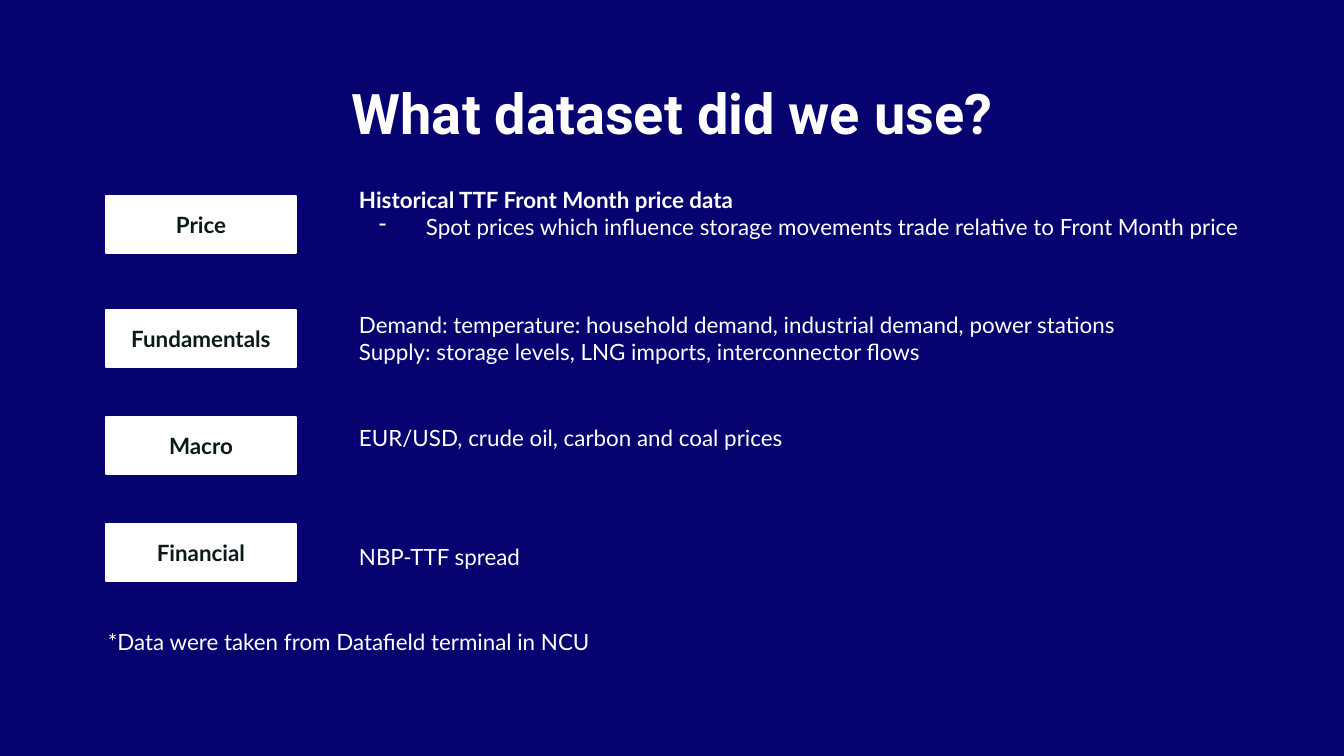
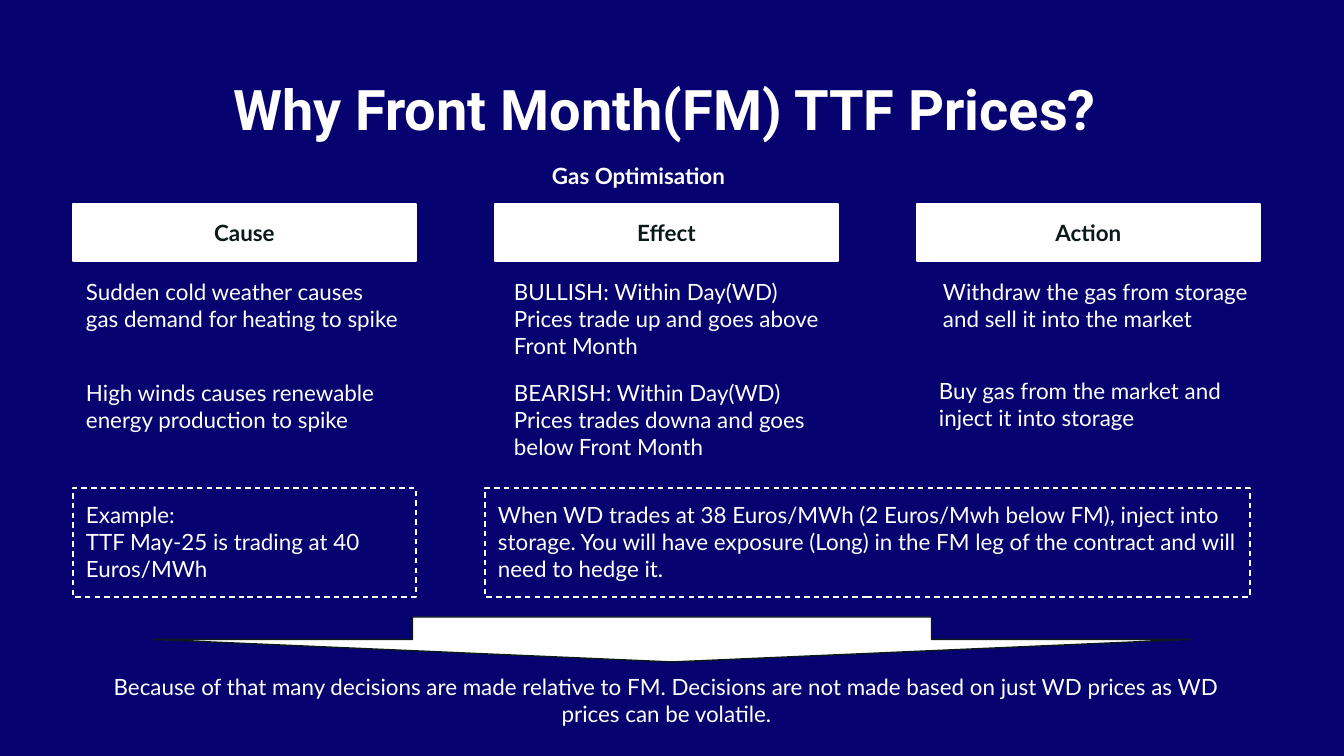
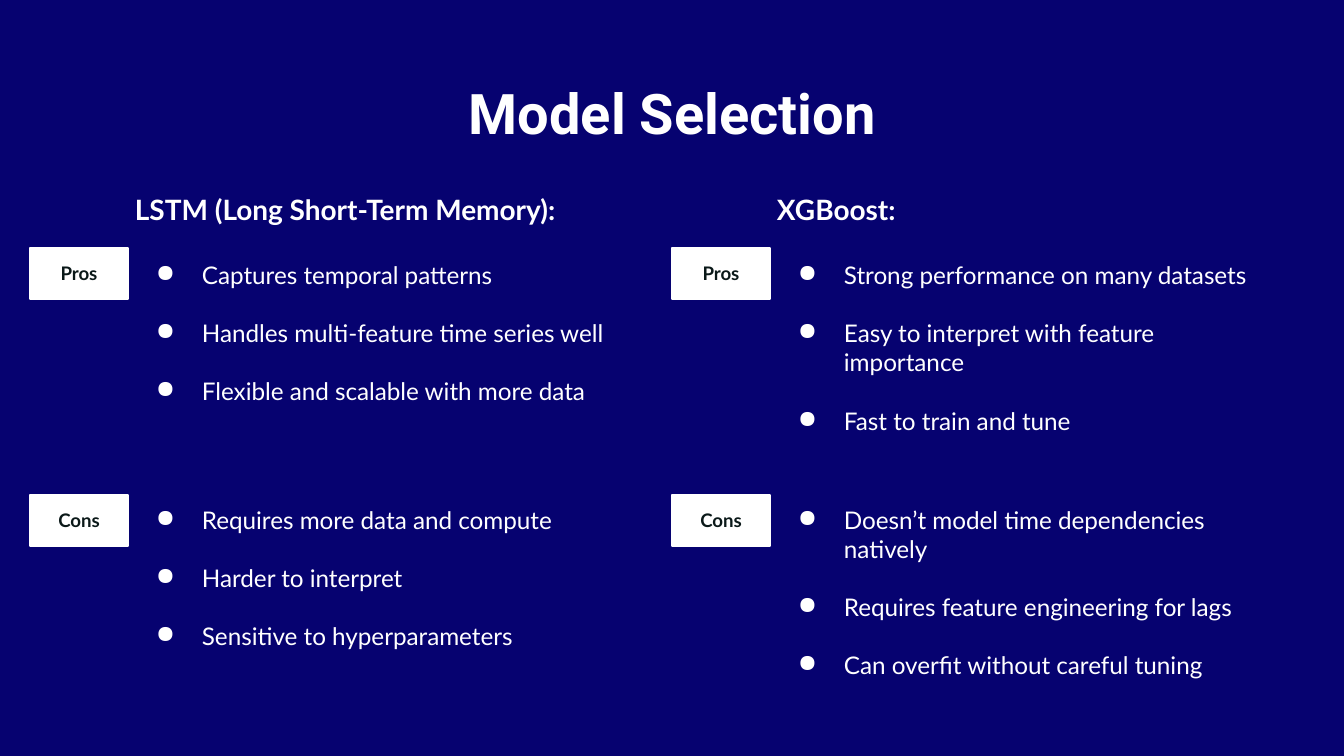
from lxml.etree import SubElement as Sub
from pptx import Presentation
from pptx.dml.color import RGBColor as RGB
from pptx.enum.dml import MSO_LINE
from pptx.enum.shapes import MSO_SHAPE as Form
from pptx.enum.text import MSO_ANCHOR as Anchor, MSO_AUTO_SIZE as Fit, PP_ALIGN as Align
from pptx.oxml.ns import qn
from pptx.util import Pt

COLORS = {"navy": "060270", "white": "FFFFFF", "ink": "0B1919"}
SCALE = 9144000 / 1344
INSET = 13


def px(n):
    return round(n * SCALE)


def rgb(name):
    return RGB.from_string(COLORS[name])


class Deck:
    def __init__(self):
        self.prs = Presentation()
        self.prs.slide_width, self.prs.slide_height = px(1344), px(756)

    def page(self, title, x=106, y=66, w=1133):
        self.slide = self.prs.slides.add_slide(self.prs.slide_layouts[6])
        fill = self.slide.background.fill
        fill.solid()
        fill.fore_color.rgb = rgb("navy")
        self.text(x, y, w, 85, [title], size=30, bold=True, font="Roboto", align=Align.CENTER)

    def words(self, shape, lines, size=12, color="white", bold=False, font="Lato",
              align=Align.LEFT, anchor=Anchor.TOP):
        frame = shape.text_frame
        frame.auto_size, frame.word_wrap = Fit.NONE, True
        frame.vertical_anchor = anchor
        frame.margin_left = frame.margin_right = px(INSET)
        frame.margin_top = frame.margin_bottom = px(INSET)
        frame.text = "\n".join(lines)
        for para in frame.paragraphs:
            para.alignment = align
            self.style(para, size, bold, color, font)
        return frame

    def style(self, para, size, bold, color="white", font="Lato"):
        for run in para.runs:
            run.font.size, run.font.bold, run.font.name = Pt(size), bold, font
            run.font.color.rgb = rgb(color)

    def text(self, x, y, w, h, lines, **look):
        box = self.slide.shapes.add_textbox(px(x), px(y), px(w), px(h))
        return self.words(box, lines, **look)

    def shape(self, form, x, y, w, h, fill="white", line="white"):
        item = self.slide.shapes.add_shape(form, px(x), px(y), px(w), px(h))
        item.shadow.inherit = False
        if fill:
            item.fill.solid()
            item.fill.fore_color.rgb = rgb(fill)
        else:
            item.fill.background()
        item.line.color.rgb, item.line.width = rgb(line), Pt(0.75)
        return item

    def label(self, x, y, w, h, word, size=12):
        item = self.shape(Form.RECTANGLE, x, y, w, h)
        self.words(item, [word], size=size, color="ink", bold=True,
                   align=Align.CENTER, anchor=Anchor.MIDDLE)

    def dashed(self, x, y, w, h, lines):
        item = self.shape(Form.RECTANGLE, x, y, w, h, fill=None)
        item.line.dash_style = MSO_LINE.DASH
        self.words(item, lines)

    def indent(self, para, left, first, mark=None):
        props = para._p.get_or_add_pPr()
        props.set("marL", str(px(left)))
        props.set("indent", str(px(first)))
        if mark:
            tint = Sub(props, qn("a:buClr"))
            Sub(tint, qn("a:srgbClr")).set("val", COLORS["white"])
            Sub(props, qn("a:buChar")).set("char", mark)

    def points(self, x, y, items, head=None):
        """Bulleted list, below a heading or the room for one."""
        lines = [head, *items] if head else items
        frame = self.text(x, y, 595, 254, lines, size=13)
        paras = list(frame.paragraphs)
        if head:
            top = paras.pop(0)
            self.style(top, 15, True)
            top.space_after = Pt(18)
            self.indent(top, 0, 67)
        else:
            frame.margin_top = px(INSET + 67)
        for para in paras:
            if para is not paras[-1]:
                para.space_after = Pt(15.6)
            self.indent(para, 134, -46, "●")


def data(deck):
    deck.page("What dataset did we use?")
    # Label, its top, top of its text, lines
    rows = [
        ("Price", 196, 173, ["Historical TTF Front Month price data",
                             "Spot prices which influence storage movements trade "
                             "relative to Front Month price"]),
        ("Fundamentals", 310, 298, ["Demand: temperature: household demand, industrial demand, "
                                    "power stations",
                                    "Supply: storage levels, LNG imports, interconnector flows"]),
        ("Macro", 417, 411, ["EUR/USD, crude oil, carbon and coal prices"]),
        ("Financial", 524, 530, ["NBP-TTF spread"]),
    ]
    for word, top, y, lines in rows:
        deck.label(106, top, 190, 57, word)
        frame = deck.text(346, y, 975, 82, lines)
        if word == "Price":
            lead, note = frame.paragraphs
            deck.style(lead, 12, True)
            deck.indent(note, 67, -47, "-")
    deck.text(95, 615, 767, 54, ["*Data were taken from Datafield terminal in NCU"])


def reason(deck):
    deck.page("Why Front Month(FM) TTF Prices?", 93, 62, 1144)
    deck.text(539, 149, 266, 54, ["Gas Optimisation"], bold=True)

    # Columns: heading, then text at x, y
    cols = [
        ("Cause", [(73, 265, "Sudden cold weather causes gas demand for heating to spike"),
                   (73, 366, "High winds causes renewable energy production to spike")]),
        ("Effect", [(501, 265, "BULLISH: Within Day(WD) Prices trade up and goes above "
                               "Front Month"),
                    (501, 366, "BEARISH: Within Day(WD) Prices trades downa and goes below "
                               "Front Month")]),
        ("Action", [(930, 265, "Withdraw the gas from storage and sell it into the market"),
                    (926, 364, "Buy gas from the market and inject it into storage")]),
    ]
    for i, (head, cells) in enumerate(cols):
        deck.label(73 + 422 * i, 204, 343, 57, head)
        for x, y, line in cells:
            deck.text(x, y, 341, 109, [line])

    # Worked example
    deck.dashed(73, 488, 343, 109, ["Example:", "TTF May-25 is trading at 40 Euros/MWh"])
    deck.dashed(485, 488, 765, 109, [
        "When WD trades at 38 Euros/MWh (2 Euros/Mwh below FM), inject into storage. "
        "You will have exposure (Long) in the FM leg of the contract and will need to hedge it."])

    # Conclusion
    deck.shape(Form.DOWN_ARROW, 153, 617, 1038, 45, line="ink")
    deck.text(73, 660, 1187, 82, [
        "Because of that many decisions are made relative to FM. Decisions are not made "
        "based on just WD prices as WD prices can be volatile."], align=Align.CENTER)


def models(deck):
    deck.page("Model Selection")
    sides = [
        ("LSTM (Long Short-Term Memory):",
         ["Captures temporal patterns", "Handles multi-feature time series well",
          "Flexible and scalable with more data"],
         ["Requires more data and compute", "Harder to interpret",
          "Sensitive to hyperparameters"]),
        ("XGBoost:",
         ["Strong performance on many datasets", "Easy to interpret with feature importance",
          "Fast to train and tune"],
         ["Doesn’t model time dependencies natively", "Requires feature engineering for lags",
          "Can overfit without careful tuning"]),
    ]
    for i, (head, pros, cons) in enumerate(sides):
        x = 30 + 642 * i
        deck.points(x + 25, 180, pros, head)
        deck.points(x + 25, 425, cons)
        deck.label(x, 248, 98, 51, "Pros", 10)
        deck.label(x, 495, 98, 51, "Cons", 10)


def main():
    deck = Deck()
    data(deck)
    reason(deck)
    models(deck)
    deck.prs.save("out.pptx")


if __name__ == "__main__":
    main()
